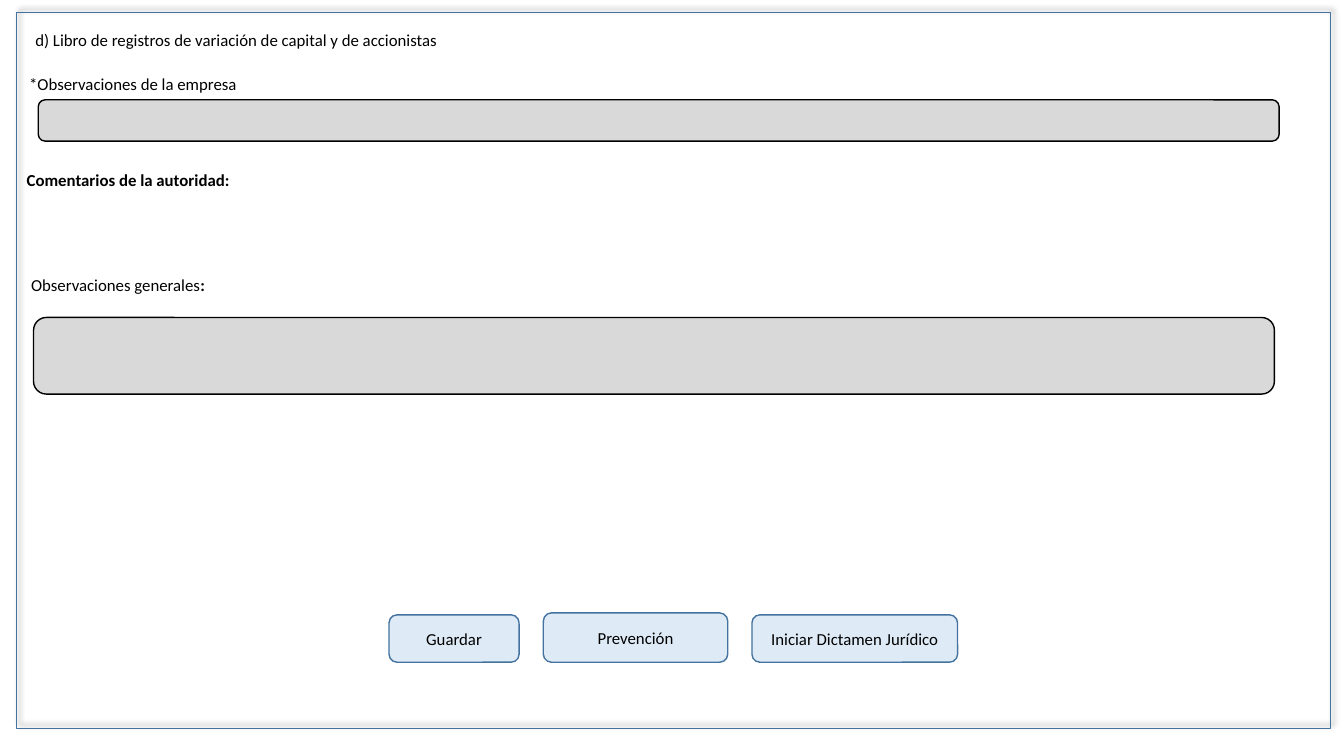
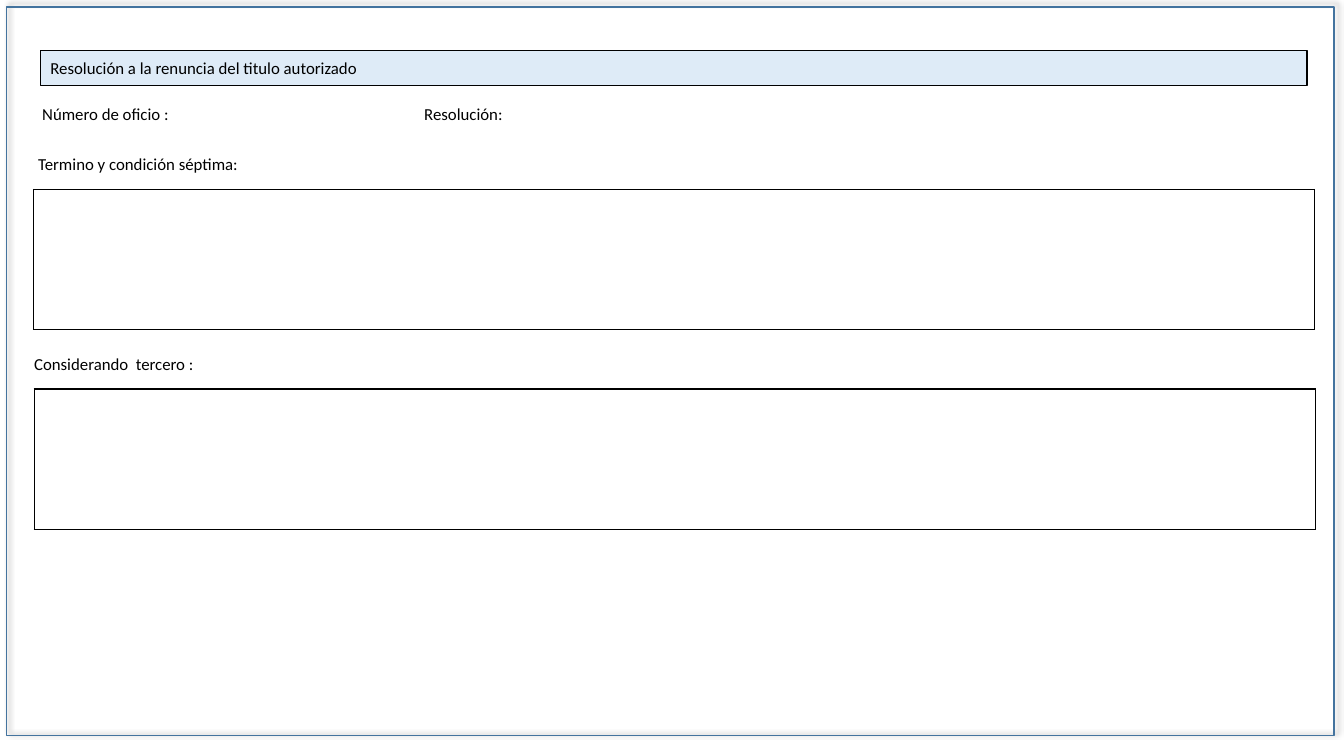
import pptx
import pptx.dml.color
import pptx.enum.shapes
import pptx.enum.text
import pptx.oxml
import pptx.oxml.ns
import pptx.util

COLORS = {
    "border": "43739E",
    "button": "DEEBF7",
    "field": "D9D9D9",
    "ink": "000000",
}
SLIDE_WIDTH = pptx.util.Inches(13.33)
SLIDE_HEIGHT = pptx.util.Inches(7.5)
COLUMNS = 40
ROWS = 30
LABEL_ROWS = 1.2
BUTTON_GAP = 0.72
RECTANGLE = pptx.enum.shapes.MSO_SHAPE.RECTANGLE
ROUNDED = pptx.enum.shapes.MSO_SHAPE.ROUNDED_RECTANGLE
ANCHOR = pptx.enum.text.MSO_ANCHOR
ALIGN = pptx.enum.text.PP_ALIGN


def rgb(name):
    return pptx.dml.color.RGBColor.from_string(COLORS[name])


class FormDeck:
    font_format = {"name": "Calibri", "size": pptx.util.Pt(12), "bold": False}
    line_width = pptx.util.Pt(1)

    def __init__(self):
        self.presentation = pptx.Presentation()
        self.presentation.slide_width = SLIDE_WIDTH
        self.presentation.slide_height = SLIDE_HEIGHT
        self.slide = None

    def add_slide(self):
        layout = self.presentation.slide_layouts[5]
        self.slide = self.presentation.slides.add_slide(layout)

    def place(self, column, row, columns, rows):
        return (
            round(column * SLIDE_WIDTH / COLUMNS),
            round(row * SLIDE_HEIGHT / ROWS),
            round(columns * SLIDE_WIDTH / COLUMNS),
            round(rows * SLIDE_HEIGHT / ROWS),
        )

    def fill_text(self, shape, text, bold_tail="", bold=False,
                  align=ALIGN.LEFT, anchor=ANCHOR.TOP):
        frame_format = {
            "word_wrap": True,
            "auto_size": pptx.enum.text.MSO_AUTO_SIZE.NONE,
            "vertical_anchor": anchor,
        }
        for name, value in frame_format.items():
            setattr(shape.text_frame, name, value)
        paragraph = shape.text_frame.paragraphs[0]
        paragraph.alignment = align
        for content, strong in ((text, bold), (bold_tail, True)):
            if content:
                run = paragraph.add_run()
                run.text = content
                for name, value in {**self.font_format, "bold": strong}.items():
                    setattr(run.font, name, value)
                run.font.color.rgb = rgb("ink")

    def paint(self, shape, line, fill=None):
        if fill:
            shape.fill.solid()
            shape.fill.fore_color.rgb = rgb(fill)
        else:
            shape.fill.background()
        shape.line.color.rgb = rgb(line)
        shape.line.width = self.line_width

    def box(self, kind, area, line, fill=None):
        shape = self.slide.shapes.add_shape(kind, *self.place(*area))
        shape.shadow.inherit = False
        self.paint(shape, line, fill)
        return shape

    def frame(self, *area):
        shape = self.box(RECTANGLE, area, "border")
        effects = shape.element.spPr.find(pptx.oxml.ns.qn("a:effectLst"))
        effects.append(pptx.oxml.parse_xml(
            f'<a:outerShdw {pptx.oxml.ns.nsdecls("a")} '
            f'blurRad="{pptx.util.Pt(4)}" dist="{pptx.util.Pt(3)}" '
            'dir="18900000" algn="bl" rotWithShape="0">'
            f'<a:srgbClr val="{COLORS["ink"]}"><a:alpha val="40000"/></a:srgbClr>'
            '</a:outerShdw>'))

    def title(self, text, area, anchor=ANCHOR.TOP):
        shape = self.slide.shapes.title
        for name, value in zip(("left", "top", "width", "height"), self.place(*area)):
            setattr(shape, name, value)
        self.fill_text(shape, text, anchor=anchor)
        return shape

    def label(self, text, column, row, columns, **style):
        area = self.place(column, row, columns, LABEL_ROWS)
        self.fill_text(self.slide.shapes.add_textbox(*area), text, **style)

    def field(self, *area):
        self.box(ROUNDED, area, "ink", "field")

    def buttons(self, column, bottom, items):
        for text, columns, rows in items:
            area = (column, bottom - rows, columns, rows)
            shape = self.box(ROUNDED, area, "border", "button")
            self.fill_text(shape, text, align=ALIGN.CENTER, anchor=ANCHOR.MIDDLE)
            column += columns + BUTTON_GAP

    def answer_table(self, *area):
        table = self.slide.shapes.add_table(1, 1, *self.place(*area)).table
        table.first_row = False
        table.horz_banding = False
        cell = table.cell(0, 0)
        properties = cell._tc.get_or_add_tcPr()
        for side in ("lnL", "lnR", "lnT", "lnB"):
            properties.append(pptx.oxml.parse_xml(
                f'<a:{side} {pptx.oxml.ns.nsdecls("a")} w="{self.line_width}">'
                f'<a:solidFill><a:srgbClr val="{COLORS["ink"]}"/></a:solidFill>'
                f'</a:{side}>'))
        cell.fill.background()


def build_observations(deck):
    deck.add_slide()
    deck.frame(0.5, 0.5, 39.1, 28.4)
    deck.title("d) Libro de registros de variación de capital y de accionistas",
               (0.75, 0.96, 18.4, LABEL_ROWS))
    deck.label("*Observaciones de la empresa", 0.57, 2.72, 12)
    deck.field(1.14, 3.96, 36.93, 1.64)
    deck.label("Comentarios de la autoridad:", 0.5, 6.52, 8.3, bold=True)
    deck.label("Observaciones generales", 0.63, 10.72, 11.7, bold_tail=":")
    deck.field(1, 12.6, 36.93, 3.04)
    deck.buttons(11.58, 26.28, (
        ("Guardar", 3.87, 1.88),
        ("Prevención", 5.49, 1.96),
        ("Iniciar Dictamen Jurídico", 6.12, 1.88),
    ))


def build_resolution(deck):
    deck.add_slide()
    deck.frame(0.2, 0.28, 39.5, 28.92)
    band = deck.title("Resolución a la renuncia del titulo autorizado",
                      (1.2, 2, 37.7, 1.4), ANCHOR.MIDDLE)
    deck.paint(band, "ink", "button")
    for text, column, row in (
        ("Número de oficio :", 0.96, 3.92),
        ("Resolución:", 12.33, 3.92),
        ("Termino y condición séptima:", 0.84, 5.92),
        ("Considerando  tercero :", 0.72, 13.84),
    ):
        deck.label(text, column, row, 10.1)
    for column, row in ((1, 7.52), (1.02, 15.44)):
        deck.answer_table(column, row, 38.13, 5.56)


def main():
    deck = FormDeck()
    build_observations(deck)
    build_resolution(deck)
    deck.presentation.save("out.pptx")


if __name__ == "__main__":
    main()
